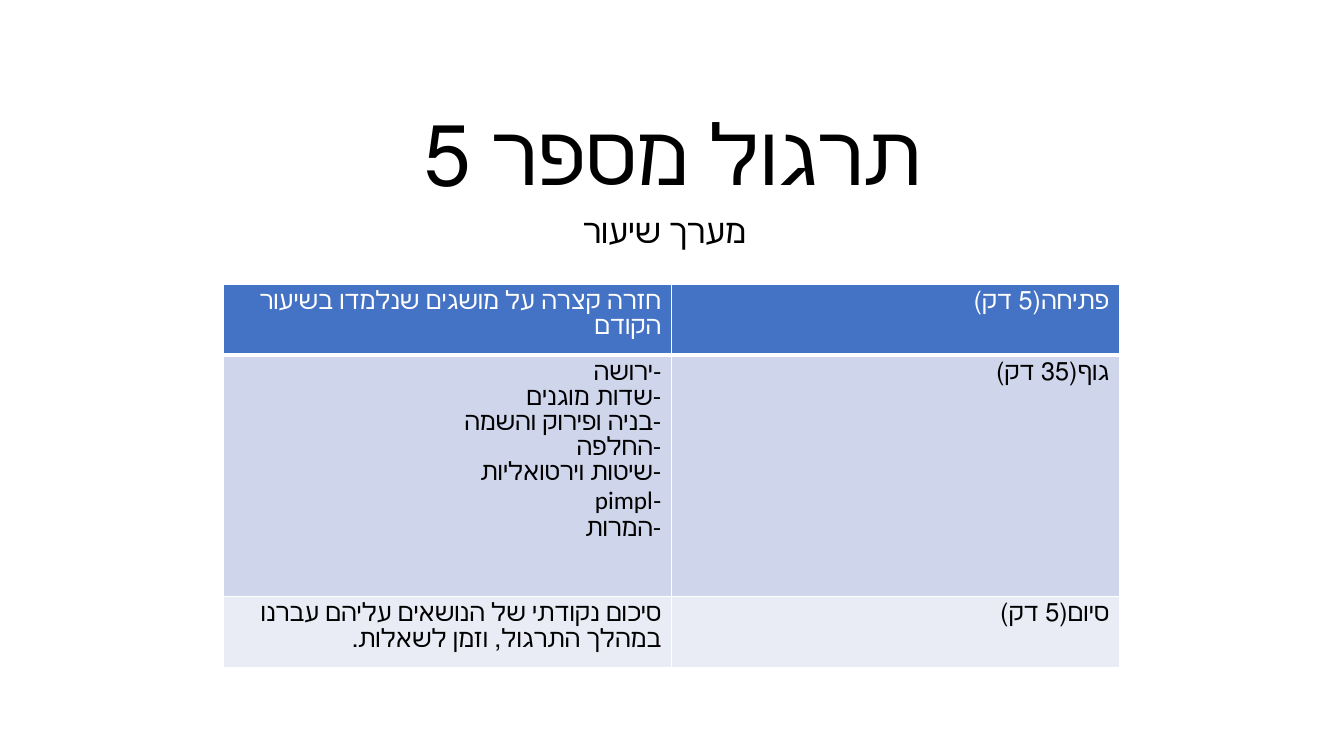
import pptx
import pptx.dml.color
import pptx.enum.lang
import pptx.enum.text
import pptx.oxml
import pptx.oxml.ns
import pptx.util
from pptx.util import Inches

COLORS = {"text": "000000", "white": "FFFFFF", "header": "4472C4",
          "band_dark": "CFD5EA", "band_light": "E9EBF5"}
ALIGN = pptx.enum.text.PP_ALIGN
ANCHOR = pptx.enum.text.MSO_ANCHOR


class LessonSlide:
    font_name = "Calibri"

    def __init__(self, presentation):
        self.slide = presentation.slides.add_slide(presentation.slide_layouts[6])

    def color(self, name):
        return pptx.dml.color.RGBColor.from_string(COLORS[name])

    def fill_paragraph(self, paragraph, text, size, color, alignment):
        paragraph.text = text
        paragraph.alignment = alignment
        paragraph._p.get_or_add_pPr().set("rtl", "1")
        font = paragraph.font
        font.name = self.font_name
        font.size = pptx.util.Pt(size)
        font.color.rgb = self.color(color)
        font.language_id = pptx.enum.lang.MSO_LANGUAGE_ID.HEBREW

    def heading(self, text, box, size, anchor, space_before=0):
        shape = self.slide.shapes.add_textbox(*map(Inches, box))
        frame = shape.text_frame
        frame.word_wrap = True
        frame.vertical_anchor = anchor
        paragraph = frame.paragraphs[0]
        self.fill_paragraph(paragraph, text, size, "text", ALIGN.CENTER)
        paragraph.line_spacing = 0.9
        paragraph.space_before = pptx.util.Pt(space_before)

    def cell_borders(self, cell, bottom_width):
        properties = cell._tc.get_or_add_tcPr()
        widths = {"lnL": 1, "lnR": 1, "lnT": 1, "lnB": bottom_width}
        for index, (side, width) in enumerate(widths.items()):
            properties.insert(index, pptx.oxml.parse_xml(
                f'<a:{side} {pptx.oxml.ns.nsdecls("a")} w="{pptx.util.Pt(width)}">'
                f'<a:solidFill><a:srgbClr val="{COLORS["white"]}"/></a:solidFill>'
                f'</a:{side}>'))

    def table(self, rows, box, heights, fills):
        table = self.slide.shapes.add_table(
            len(rows), len(rows[0]), *map(Inches, box)).table
        for r, texts in enumerate(rows):
            table.rows[r].height = Inches(heights[r])
            for c, text in enumerate(texts):
                cell = table.cell(r, c)
                cell.fill.solid()
                cell.fill.fore_color.rgb = self.color(fills[r])
                self.cell_borders(cell, 3 if r == 0 else 1)
                self.fill_paragraph(cell.text_frame.paragraphs[0], text, 18,
                                    "white" if r == 0 else "text", ALIGN.RIGHT)


def main():
    presentation = pptx.Presentation()
    presentation.slide_width = Inches(13.33)
    presentation.slide_height = Inches(7.5)
    lesson = LessonSlide(presentation)

    # Title and subtitle
    lesson.heading("תרגול מספר 5", (1.67, -0.54, 10, 2.61), 60, ANCHOR.BOTTOM)
    lesson.heading("מערך שיעור", (1.59, 2.08, 10, 1.81), 24, ANCHOR.TOP, 10)

    # Lesson plan: content on the left, stage and duration on the right
    topics = ["ירושה", "שדות מוגנים", "בניה ופירוק והשמה", "החלפה",
              "שיטות וירטואליות", "pimpl", "המרות"]
    plan = [
        ("חזרה קצרה על מושגים שנלמדו בשיעור הקודם", "פתיחה(5 דק)"),
        ("\n".join("-" + topic for topic in topics), "גוף(35 דק)"),
        ("סיכום נקודתי של הנושאים עליהם עברנו במהלך התרגול, וזמן לשאלות.",
         "סיום(5 דק)"),
    ]
    lesson.table(plan, (2.22, 2.82, 8.88, 3.6), (0.6, 2.4, 0.6),
                 ("header", "band_dark", "band_light"))

    presentation.save("out.pptx")


if __name__ == "__main__":
    main()
